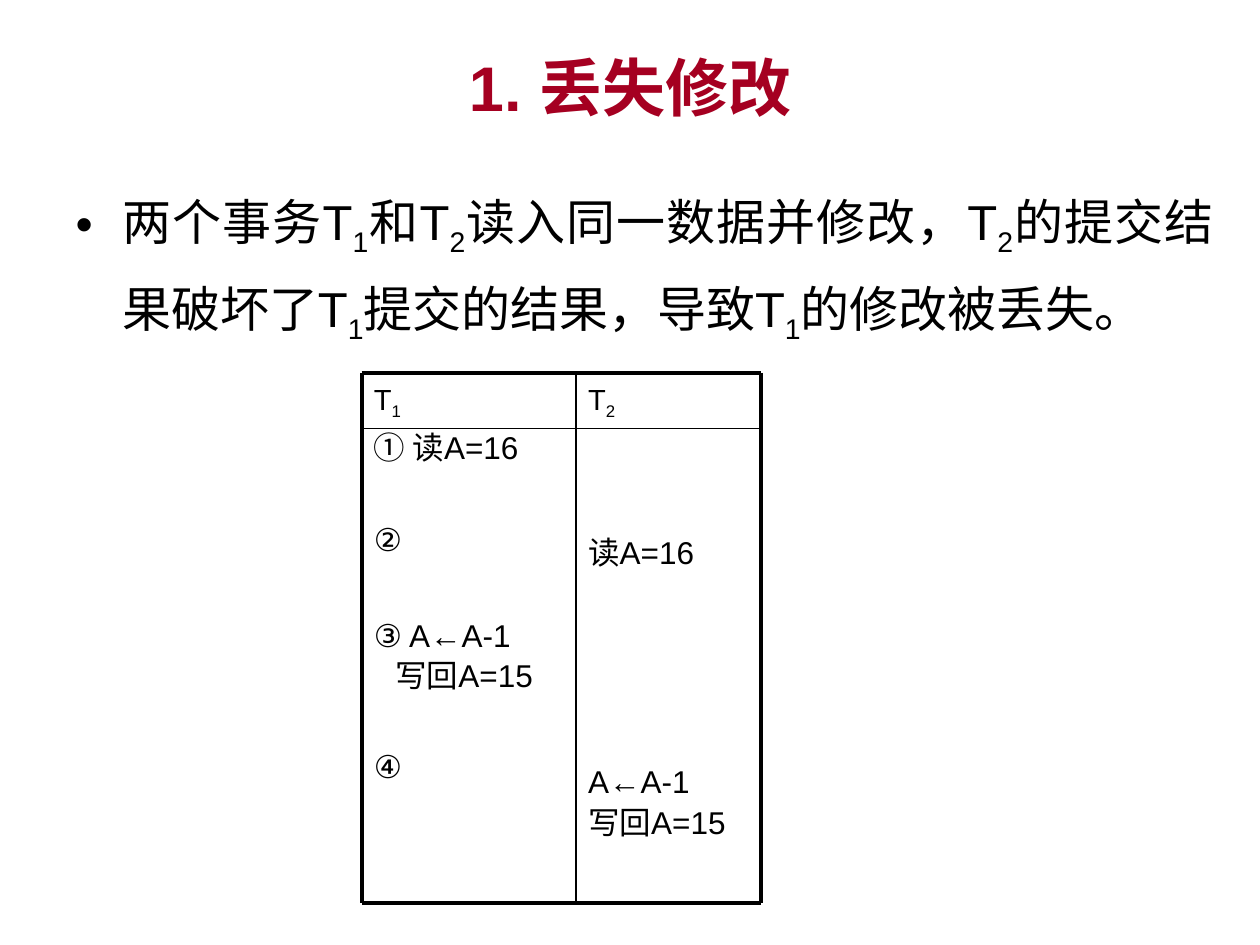
from lxml import etree
from pptx import Presentation
from pptx.dml.color import RGBColor
from pptx.enum.shapes import MSO_CONNECTOR
from pptx.enum.text import MSO_ANCHOR, MSO_AUTO_SIZE, PP_ALIGN
from pptx.oxml.ns import qn
from pptx.util import Inches, Pt

CENTER, JUSTIFY, LEFT = PP_ALIGN.CENTER, PP_ALIGN.JUSTIFY, PP_ALIGN.LEFT
MIDDLE, STRAIGHT = MSO_ANCHOR.MIDDLE, MSO_CONNECTOR.STRAIGHT
FONT, BLACK, RED = "Arial", "000000", "A50021"

# Content: pieces between underscores are subscripts
TITLE = "1. 丢失修改"
BODY = ("两个事务T_1_和T_2_读入同一数据并修改，T_2_的提交结果破坏了T_1_"
        "提交的结果，导致T_1_的修改被丢失。")
HEADERS = ["T_1_", "T_2_"]
# Steps of each transaction: text, space before (pt), indent (in)
STEPS = [
    [("① 读A=16", 0, 0), ("②", 31, 0), ("③ A←A-1", 32.8, 0),
     ("写回A=15", 1.4, 0.17), ("④", 30.5, 0)],
    [("读A=16", 0, 0), ("A←A-1", 109.5, 0), ("写回A=15", 1.4, 0)],
]
HEADER_INSET, STEP_INSETS = 0.07, [0, 0.83]

# Schedule grid in inches, rule widths in points
COLUMN_EDGES, ROW_EDGES = [2.87, 4.57, 6.04], [2.96, 3.4, 7.17]
RULE_WIDTHS = [2.25, 1, 2.25]


def rgb(value):
    return RGBColor.from_string(value)


def write(para, text, size, color=BLACK, bold=False, align=LEFT,
          before=0, spacing=1.0, indent=0, hanging=0, bullet=None):
    props = para._p.get_or_add_pPr()
    props.set("marL", str(Inches(indent)))
    props.set("indent", str(-Inches(hanging)))
    props.set("hangingPunct", "0")
    if bullet:
        etree.SubElement(props, qn("a:buChar")).set("char", bullet)
    para.alignment = align
    para.line_spacing = spacing
    para.space_before = Pt(before)
    for index, piece in enumerate(text.split("_")):
        if not piece:
            continue
        span = para.add_run()
        span.text = piece
        span.font.size, span.font.bold, span.font.name = Pt(size), bold, FONT
        span.font.color.rgb = rgb(color)
        if index % 2:
            span._r.get_or_add_rPr().set("baseline", "-25000")


def place(box, left, top, width, height):
    box.left, box.top = Inches(left), Inches(top)
    box.width, box.height = Inches(width), Inches(height)
    box.text_frame.word_wrap = True
    box.text_frame.auto_size = MSO_AUTO_SIZE.NONE


def add_cell(column, row, inset):
    left, right = COLUMN_EDGES[column:column + 2]
    top, bottom = ROW_EDGES[row:row + 2]
    box = page.shapes.add_textbox(0, 0, 0, 0)
    place(box, left, top, right - left, bottom - top)
    box.text_frame.margin_top = Inches(inset)
    return box.text_frame


def add_rule(start, end, width):
    rule = page.shapes.add_connector(
        STRAIGHT, *(Inches(value) for value in start + end))
    rule.line.width = Pt(width)
    rule.line.color.rgb = rgb(BLACK)
    etree.SubElement(rule._element.spPr, qn("a:effectLst"))


deck = Presentation()
deck.slide_width, deck.slide_height = Inches(10), Inches(7.5)
page = deck.slides.add_slide(deck.slide_layouts[1])

# Title and statement
title, body = page.shapes.title, page.placeholders[1]
place(title, 0.5, 0.3, 9, 0.77)
title.text_frame.vertical_anchor = MIDDLE
write(title.text_frame.paragraphs[0], TITLE, 36, RED, bold=True, align=CENTER)
place(body, 0.5, 1.31, 9.23, 4.92)
write(body.text_frame.paragraphs[0], BODY, 28, align=JUSTIFY, spacing=1.3,
      indent=0.37, hanging=0.37, bullet="•")

# Schedule text, one column per transaction
for column, (header, steps) in enumerate(zip(HEADERS, STEPS)):
    frame = add_cell(column, 0, HEADER_INSET)
    write(frame.paragraphs[0], header, 16.6, spacing=0.9)
    frame = add_cell(column, 1, STEP_INSETS[column])
    for index, (text, before, indent) in enumerate(steps):
        para = frame.add_paragraph() if index else frame.paragraphs[0]
        write(para, text, 18, before=before, indent=indent)

# Schedule rules: thick frame, thin dividers
for y, width in zip(ROW_EDGES, RULE_WIDTHS):
    add_rule((COLUMN_EDGES[0], y), (COLUMN_EDGES[-1], y), width)
for x, width in zip(COLUMN_EDGES, RULE_WIDTHS):
    add_rule((x, ROW_EDGES[0]), (x, ROW_EDGES[-1]), width)

deck.save("out.pptx")
